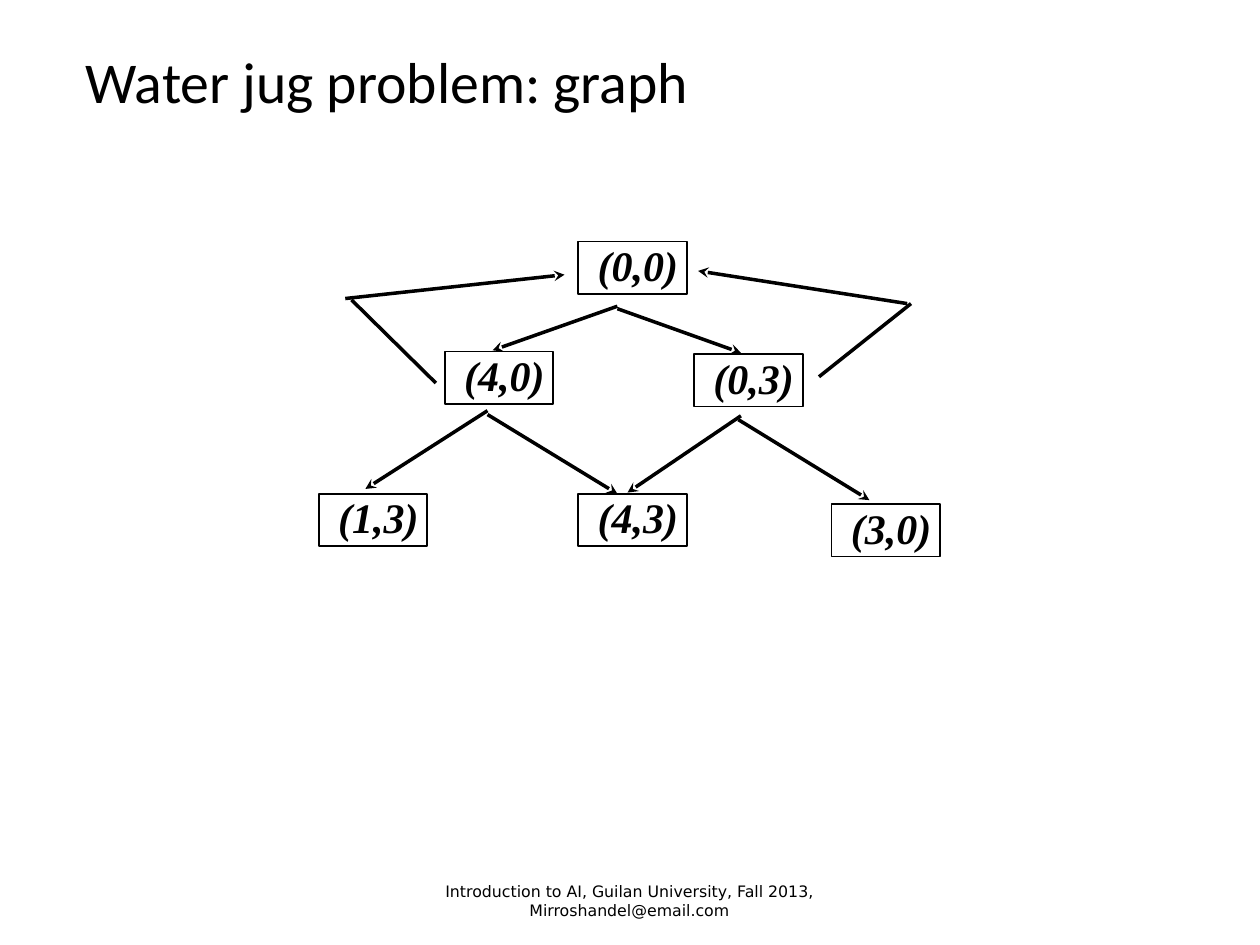
from lxml import etree
from pptx import Presentation
from pptx.dml.color import RGBColor
from pptx.enum.shapes import MSO_CONNECTOR, MSO_SHAPE
from pptx.enum.text import MSO_ANCHOR, PP_ALIGN
from pptx.oxml.ns import qn
from pptx.util import Pt

BLACK = RGBColor(0, 0, 0)
STRAIGHT = MSO_CONNECTOR.STRAIGHT
RECTANGLE = MSO_SHAPE.RECTANGLE
MIDDLE, TOP = MSO_ANCHOR.MIDDLE, MSO_ANCHOR.TOP
LEFT, CENTER = PP_ALIGN.LEFT, PP_ALIGN.CENTER

# Content, with all lengths in points
TITLE = "Water jug problem: graph"
FOOTER = "Introduction to AI, Guilan University, Fall 2013, Mirroshandel@email.com"

NODE_WIDTH, NODE_HEIGHT = 62, 30
NODES = [  # label, left, top
    ("(0,0)", 330.5, 138),
    ("(0,3)", 396.7, 202.3),
    ("(4,0)", 254.2, 200.9),
    ("(1,3)", 182.2, 282.2),
    ("(4,3)", 330.5, 282.2),
    ("(3,0)", 475.2, 288),
]

MOVES = [  # start, end of each arrow to a next state
    ((352.8, 175), (281.5, 200.2)),
    ((352.8, 176.4), (423.4, 201.6)),
    ((278.6, 236.9), (352.8, 282.2)),
    ((423.4, 237.6), (358.6, 281.5)),
    ((421.9, 239.8), (496.8, 285.8)),
    ((278.6, 234.7), (208.8, 279.4)),
]
RETURNS = [  # plain line out of a state, then the arrow back to (0,0)
    (((249.1, 218.9), (200.9, 171.4)), ((197.3, 170.6), (322.6, 157))),
    (((468, 215.3), (520.6, 173.5)), ((518.4, 173.5), (398.9, 154.8))),
]


def write(shape, text, font_name, size, align=LEFT, anchor=MIDDLE, spacing=1.0):
    frame = shape.text_frame
    frame.text = text
    frame.word_wrap = True
    frame.vertical_anchor = anchor
    para = frame.paragraphs[0]
    para.alignment = align
    para.line_spacing = spacing
    font = para.runs[0].font
    font.name, font.size = font_name, Pt(size)
    font.color.rgb = BLACK
    return frame, font


def add_text(page, left, top, width, height, *style):
    box = page.shapes.add_textbox(Pt(left), Pt(top), Pt(width), Pt(height))
    write(box, *style)


def add_node(page, label, left, top):
    node = page.shapes.add_shape(
        RECTANGLE, Pt(left), Pt(top), Pt(NODE_WIDTH), Pt(NODE_HEIGHT))
    node.shadow.inherit = False
    node.fill.background()
    node.line.color.rgb = BLACK
    node.line.width = Pt(1)
    frame, font = write(node, label, "Times New Roman", 24, LEFT, TOP, 0.9)
    frame.word_wrap = False
    frame.margin_left, frame.margin_right = Pt(11), Pt(5)
    frame.margin_top = frame.margin_bottom = Pt(2.2)
    font.bold = font.italic = True


def add_line(page, start, end, arrow=True):
    points = [Pt(value) for value in (*start, *end)]
    line = page.shapes.add_connector(STRAIGHT, *points)
    line.line.color.rgb = BLACK
    line.line.width = Pt(2)
    if arrow:
        outline = line.line._get_or_add_ln()
        etree.SubElement(outline, qn("a:tailEnd"), type="stealth")
    etree.SubElement(line._element.spPr, qn("a:effectLst"))


def main():
    deck = Presentation()
    deck.slide_width, deck.slide_height = Pt(720), Pt(540)
    page = deck.slides.add_slide(deck.slide_layouts[6])

    # Title and footer
    add_text(page, 41.8, 3.6, 635.8, 90, TITLE, "Calibri", 33, LEFT, MIDDLE, 0.9)
    add_text(page, 238.3, 500.4, 242.6, 28.8, FOOTER, "DejaVu Sans", 9, CENTER)

    # State graph
    for node in NODES:
        add_node(page, *node)
    for start, end in MOVES:
        add_line(page, start, end)
    for way_out, way_back in RETURNS:
        add_line(page, *way_out, arrow=False)
        add_line(page, *way_back)

    deck.save("out.pptx")


if __name__ == "__main__":
    main()
